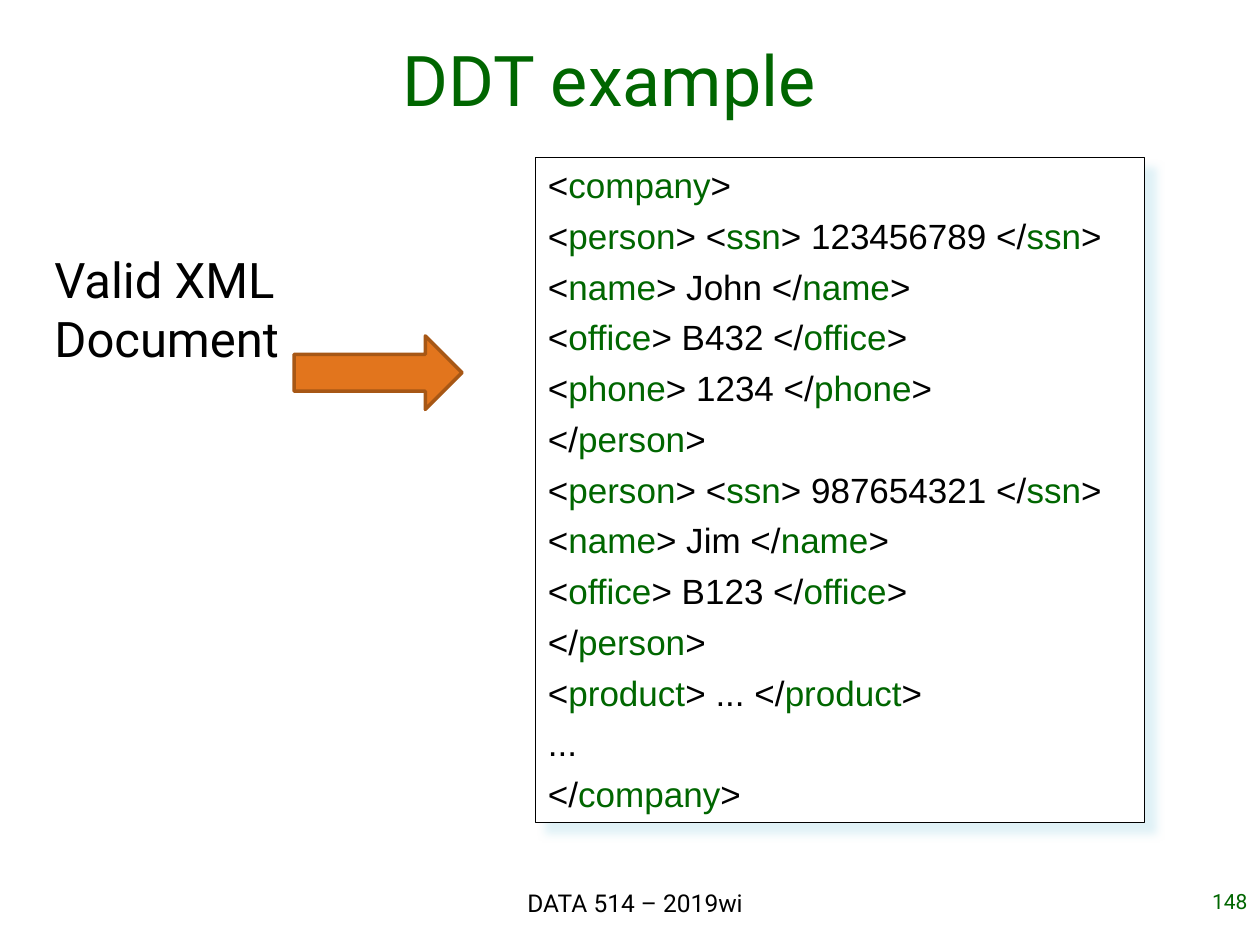
from lxml import etree
from pptx import Presentation
from pptx.dml.color import RGBColor
from pptx.enum.shapes import MSO_SHAPE
from pptx.enum.text import MSO_ANCHOR, MSO_AUTO_SIZE, PP_ALIGN
from pptx.oxml import parse_xml
from pptx.oxml.ns import qn
from pptx.util import Pt

LEFT, CENTER, RIGHT = PP_ALIGN.LEFT, PP_ALIGN.CENTER, PP_ALIGN.RIGHT
TOP, MIDDLE = MSO_ANCHOR.TOP, MSO_ANCHOR.MIDDLE
NO_FIT = MSO_AUTO_SIZE.NONE
RECTANGLE, RIGHT_ARROW = MSO_SHAPE.RECTANGLE, MSO_SHAPE.RIGHT_ARROW
TITLE_ONLY = 5

GREEN, BLACK, WHITE = "006600", "000000", "FFFFFF"
XML_LINES = [
    "<company>",
    "<person> <ssn> 123456789 </ssn>",
    "<name> John </name>",
    "<office> B432 </office>",
    "<phone> 1234 </phone>",
    "</person>",
    "<person> <ssn> 987654321 </ssn>",
    "<name> Jim </name>",
    "<office> B123 </office>",
    "</person>",
    "<product> ... </product>",
    "...",
    "</company>",
]


def color(value):
    return RGBColor.from_string(value)


def set_all(target, values):
    for name, value in values.items():
        setattr(target, name, value)


def points(box):
    return [Pt(length) for length in box]


def set_font(span, name, size, shade):
    set_all(span.font, {"name": name, "size": Pt(size)})
    span.font.color.rgb = color(shade)


def set_frame(shape, anchor):
    set_all(shape.text_frame, {
        "word_wrap": True, "auto_size": NO_FIT, "vertical_anchor": anchor,
        "margin_left": Pt(7.2), "margin_right": Pt(7.2),
        "margin_top": Pt(3.6), "margin_bottom": Pt(3.6)})


def write_line(shape, text, size, shade, align, anchor=TOP):
    set_frame(shape, anchor)
    para = shape.text_frame.paragraphs[0]
    para.alignment = align
    span = para.add_run()
    span.text = text
    set_font(span, "Roboto", size, shade)


def add_title(page, box, text):
    title = page.shapes.title
    set_all(title, dict(zip(("left", "top", "width", "height"), points(box))))
    write_line(title, text, 40, GREEN, CENTER, MIDDLE)


def add_label(page, box, text, size, shade, align):
    label = page.shapes.add_textbox(*points(box))
    write_line(label, text, size, shade, align)


def add_block(page, kind, box, fill, line, weight):
    block = page.shapes.add_shape(kind, *points(box))
    block.shadow.inherit = False
    block.fill.solid()
    block.fill.fore_color.rgb = color(fill)
    block.line.color.rgb = color(line)
    block.line.width = Pt(weight)
    return block


def add_soft_shadow(shape, shade, blur, distance, degrees, opacity):
    effects = shape._element.spPr.find(qn("a:effectLst"))
    shadow = etree.SubElement(effects, qn("a:outerShdw"), {
        "blurRad": str(Pt(blur)), "dist": str(Pt(distance)),
        "dir": str(degrees * 60000), "algn": "tl", "rotWithShape": "0"})
    tint = etree.SubElement(shadow, qn("a:srgbClr"), val=shade)
    etree.SubElement(tint, qn("a:alpha"), val=str(opacity * 1000))


def split_tags(line):
    lead, *chunks = line.split("<")
    if lead:
        yield lead, BLACK
    for chunk in chunks:
        tag, rest = chunk.split(">")
        yield ("</" if tag.startswith("/") else "<"), BLACK
        yield tag.lstrip("/"), GREEN
        yield ">" + rest, BLACK


def add_xml_panel(page, box, lines):
    panel = add_block(page, RECTANGLE, box, WHITE, BLACK, 0.75)
    add_soft_shadow(panel, "D5EDF4", 5, 8.5, 45, 75)
    set_frame(panel, TOP)
    frame = panel.text_frame
    for index, line in enumerate(lines):
        para = frame.add_paragraph() if index else frame.paragraphs[0]
        para.alignment = LEFT
        if index:
            para.space_before = Pt(5)
        for text, shade in split_tags(line):
            span = para.add_run()
            span.text = text
            set_font(span, "Arial", 20, shade)


def add_footer(page, box):
    left, top, width, height = box
    add_label(page, (left + 222, top, 282, height), "DATA 514 – 2019wi", 14, BLACK, CENTER)
    add_label(page, (left + width - 42, top, 42, height), "148", 12, GREEN, RIGHT)


def main():
    deck = Presentation()
    set_all(deck, {"slide_width": Pt(720), "slide_height": Pt(540)})
    page = deck.slides.add_slide(deck.slide_layouts[TITLE_ONLY])
    add_title(page, (42, 0, 612, 90), "DDT example")
    add_footer(page, (0, 504, 720, 36))
    add_xml_panel(page, (306, 90, 348, 380), XML_LINES)
    add_label(page, (24, 139, 264, 41), "Valid XML Document", 28, BLACK, LEFT)
    add_block(page, RIGHT_ARROW, (168, 192, 96, 42), "E2751D", "A75715", 2)
    deck.save("out.pptx")


if __name__ == "__main__":
    main()
